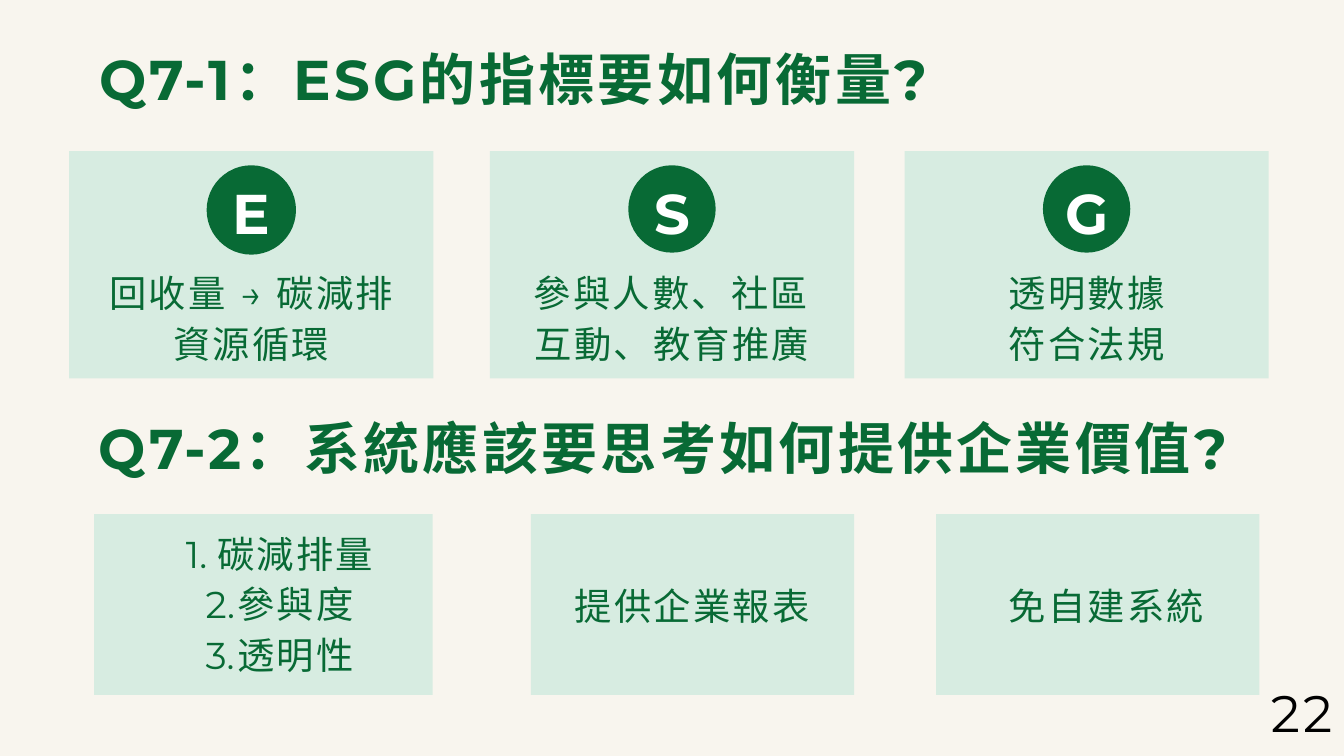
from dataclasses import dataclass

import pptx
import pptx.dml.color
import pptx.enum.shapes
import pptx.enum.text
import pptx.oxml.ns
import pptx.util
from lxml import etree
from pptx.util import Inches


@dataclass(frozen=True)
class TextStyle:
    size: float
    line: float
    spacing: float
    color: str
    bold: bool = False


@dataclass(frozen=True)
class Theme:
    font: str = "Montserrat"
    paper: str = "F8F5EE"
    mint: str = "D7ECE1"
    green: str = "086A35"
    heading: TextStyle = TextStyle(60, 81, 3.6, "086A35", True)
    badge: TextStyle = TextStyle(60, 81, 3.6, "FFFFFF", True)
    body: TextStyle = TextStyle(40, 54, 2.4, "086A35")
    page: TextStyle = TextStyle(55, 74.2, 3.3, "000000")


THEME = Theme()


def rgb(value):
    return pptx.dml.color.RGBColor.from_string(value)


def add_block(slide, preset, box, color):
    block = slide.shapes.add_shape(preset, *map(Inches, box))
    block.shadow.inherit = False
    block.fill.solid()
    block.fill.fore_color.rgb = rgb(color)
    block.line.fill.background()


def number_paragraph(paragraph):
    properties = paragraph._p.get_or_add_pPr()
    properties.set("lvl", "1")
    properties.set("marL", str(Inches(0.94)))
    properties.set("indent", str(Inches(-0.47)))
    etree.SubElement(properties, pptx.oxml.ns.qn("a:buAutoNum"), type="arabicPeriod")


def add_text(slide, box, lines, style, numbered=False):
    frame = slide.shapes.add_textbox(*map(Inches, box)).text_frame
    frame.word_wrap = True
    frame.auto_size = pptx.enum.text.MSO_AUTO_SIZE.SHAPE_TO_FIT_TEXT
    frame.margin_left = frame.margin_right = frame.margin_top = frame.margin_bottom = 0
    for index, line in enumerate(lines):
        paragraph = frame.paragraphs[0] if index == 0 else frame.add_paragraph()
        paragraph.alignment = pptx.enum.text.PP_ALIGN.CENTER
        paragraph.line_spacing = pptx.util.Pt(style.line)
        if numbered:
            number_paragraph(paragraph)
        run = paragraph.add_run()
        run.text = line
        run.font.name = THEME.font
        run.font.size = pptx.util.Pt(style.size)
        run.font.bold = style.bold
        run.font.color.rgb = rgb(style.color)
        properties = run.font._element
        properties.set("spc", str(round(style.spacing * 100)))
        for script in ("a:ea", "a:cs"):
            etree.SubElement(properties, pptx.oxml.ns.qn(script), typeface=THEME.font)


def add_indicator_card(slide, box, letter, lines, diameter, text_inset):
    """Card with a lettered disc above its measures."""
    left, top, width, height = box
    disc_left = left + (width - diameter) / 2
    add_block(slide, pptx.enum.shapes.MSO_SHAPE.RECTANGLE, box, THEME.mint)
    add_block(slide, pptx.enum.shapes.MSO_SHAPE.OVAL,
              (disc_left, top + 0.21, diameter, diameter), THEME.green)
    add_text(slide, (disc_left, top + 0.28, diameter, 1.08), [letter], THEME.badge)
    add_text(slide, (left + text_inset, top + 1.69, width - 2 * text_inset, 1.44),
             lines, THEME.body)


def add_value_card(slide, box, lines, text_shift):
    """Card with one centred line, or a numbered list when there are more."""
    left, top, width, height = box
    add_block(slide, pptx.enum.shapes.MSO_SHAPE.RECTANGLE, box, THEME.mint)
    if len(lines) > 1:
        text_box = (left + 0.2, top + 0.17, width - 0.39, 2.2)
    else:
        text_box = (left + text_shift, top + 0.95, width, 0.72)
    add_text(slide, text_box, lines, THEME.body, numbered=len(lines) > 1)


def build_slide(slide):
    slide.background.fill.solid()
    slide.background.fill.fore_color.rgb = rgb(THEME.paper)

    add_text(slide, (1.4, 0.54, 12.53, 1.05), ["Q7-1：ESG的指標要如何衡量? "], THEME.heading)
    indicators = [
        (1.03, "E", ["回收量 → 碳減排", "資源循環"], 1.33, 0),
        (7.29, "S", ["參與人數、社區互動、教育推廣"], 1.3, 0.48),
        (13.46, "G", ["透明數據", "符合法規"], 1.3, 0),
    ]
    for left, letter, measures, diameter, inset in indicators:
        add_indicator_card(slide, (left, 2.25, 5.42, 3.38), letter, measures, diameter, inset)

    add_text(slide, (0.92, 6.03, 18.18, 1.05),
             ["Q7-2：系統應該要思考如何提供企業價值? "], THEME.heading)
    values = [
        (1.4, 5.04, ["碳減排量", "參與度", "透明性"], 0),
        (7.9, 4.81, ["提供企業報表"], 0),
        (13.93, 4.81, ["免自建系統"], 0.13),
    ]
    for left, width, benefits, shift in values:
        add_value_card(slide, (left, 7.65, width, 2.69), benefits, shift)

    add_text(slide, (18.74, 10.03, 1.26, 1), ["22"], THEME.page)


def main():
    deck = pptx.Presentation()
    deck.slide_width, deck.slide_height = Inches(20), Inches(11.25)
    build_slide(deck.slides.add_slide(deck.slide_layouts[6]))
    deck.save("out.pptx")


if __name__ == "__main__":
    main()
